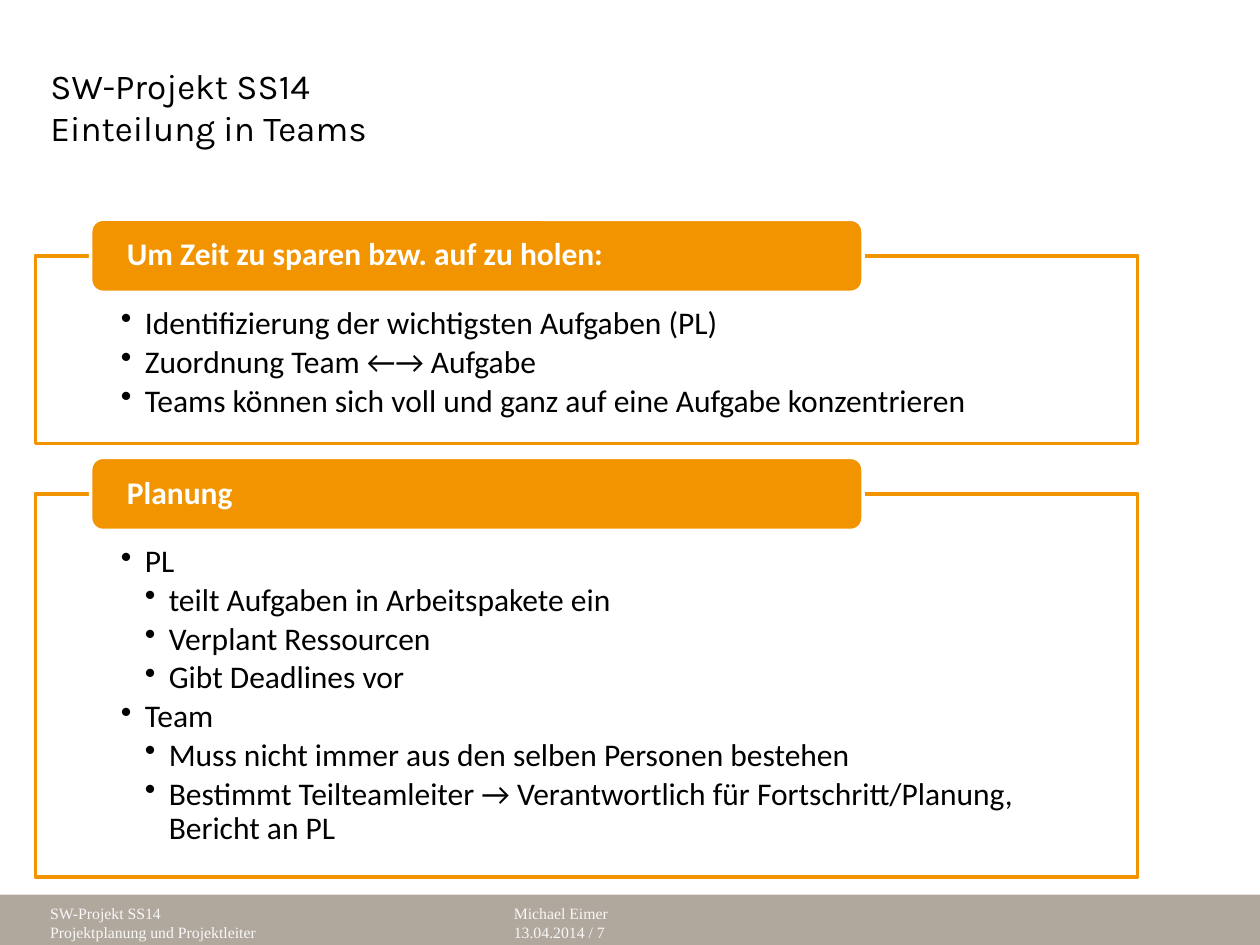
from lxml.etree import SubElement
from pptx import Presentation
from pptx.dml.color import RGBColor
from pptx.enum.shapes import MSO_SHAPE
from pptx.enum.text import MSO_ANCHOR, PP_ALIGN
from pptx.oxml.ns import qn
from pptx.util import Inches, Pt

ORANGE, WHITE, BLACK = "F29400", "FFFFFF", "000000"
TASKS = [
    (1, "Identifizierung der wichtigsten Aufgaben (PL)"),
    (1, "Zuordnung Team ←→ Aufgabe"),
    (1, "Teams können sich voll und ganz auf eine Aufgabe konzentrieren"),
]
PLAN = [
    (1, "PL"),
    (2, "teilt Aufgaben in Arbeitspakete ein"),
    (2, "Verplant Ressourcen"),
    (2, "Gibt Deadlines vor"),
    (1, "Team"),
    (2, "Muss nicht immer aus den selben Personen bestehen"),
    (2, "Bestimmt Teilteamleiter → Verantwortlich für Fortschritt/Planung, "
        "Bericht an PL"),
]


def color(code):
    return RGBColor.from_string(code)


def style(para, font, size, code, bold=False):
    para.alignment = PP_ALIGN.LEFT
    for run in para.runs:
        run.font.name = font
        run.font.size = Pt(size)
        run.font.bold = bold
        run.font.color.rgb = color(code)


def add_box(slide, kind, spot, fill, line=None):
    shape = slide.shapes.add_shape(kind, *map(Inches, spot))
    shape.shadow.inherit = False
    shape.fill.solid()
    shape.fill.fore_color.rgb = color(fill)
    if line:
        shape.line.color.rgb = color(line)
        shape.line.width = Pt(2)
    else:
        shape.line.fill.background()
    return shape


def set_frame(shape, side, top, base, anchor):
    frame = shape.text_frame
    frame.word_wrap = True
    frame.margin_left = frame.margin_right = Inches(side)
    frame.margin_top, frame.margin_bottom = Inches(top), Inches(base)
    frame.vertical_anchor = anchor
    return frame


def add_bullet(para, level):
    para.level = level
    props = para._p.get_or_add_pPr()
    props.set("marL", str(Inches(0.19 * level)))
    props.set("indent", str(Inches(-0.19)))
    SubElement(props, qn("a:buChar")).set("char", "•")


def add_panel(slide, top, height, head, items):
    body = add_box(slide, MSO_SHAPE.RECTANGLE, (0.28, top, 8.75, height),
                   WHITE, ORANGE)
    frame = set_frame(body, 0.68, 0.41, 0.14, MSO_ANCHOR.TOP)
    frame.text = "\n".join(text for level, text in items)
    for para, (level, text) in zip(frame.paragraphs, items):
        style(para, "Calibri", 18, BLACK)
        para.line_spacing = 0.9
        para.space_after = Pt(2.7)
        add_bullet(para, level)

    tab = add_box(slide, MSO_SHAPE.ROUNDED_RECTANGLE,
                  (0.72, top - 0.29, 6.13, 0.58), ORANGE, WHITE)
    frame = set_frame(tab, 0.26, 0, 0, MSO_ANCHOR.MIDDLE)
    frame.text = head
    style(frame.paragraphs[0], "Calibri", 18, WHITE, True)
    frame.paragraphs[0].line_spacing = 0.9


def add_note(slide, left, width, text):
    box = slide.shapes.add_textbox(*map(Inches, (left, 7.12, width, 0.52)))
    frame = set_frame(box, 0.1, 0.05, 0.05, MSO_ANCHOR.TOP)
    frame.text = text
    for para in frame.paragraphs:
        style(para, "Times New Roman", 9, "F8F8F8")


def set_title(slide, text):
    title = slide.shapes.title
    title.left, title.top = Inches(0.3), Inches(0.46)
    title.width, title.height = Inches(6.49), Inches(1.47)
    frame = set_frame(title, 0.1, 0.05, 0.05, MSO_ANCHOR.TOP)
    frame.text = text
    style(frame.paragraphs[0], "Karla", 20, BLACK)


def main():
    deck = Presentation()
    deck.slide_width, deck.slide_height = Inches(10), Inches(7.5)
    slide = deck.slides.add_slide(deck.slide_layouts[5])
    add_box(slide, MSO_SHAPE.RECTANGLE, (0, 7.1, 10, 0.4), "B0A79D")
    add_note(slide, 3.98, 3.17, "Michael Eimer\n13.04.2014 / 7")
    add_note(slide, 0.3, 2.54, "SW-Projekt SS14\nProjektplanung und Projektleiter")
    set_title(slide, "SW-Projekt SS14\vEinteilung in Teams")
    add_panel(slide, 2.03, 1.49, "Um Zeit zu sparen bzw. auf zu holen:", TASKS)
    add_panel(slide, 3.92, 3.04, "Planung", PLAN)
    deck.save("out.pptx")


if __name__ == "__main__":
    main()
